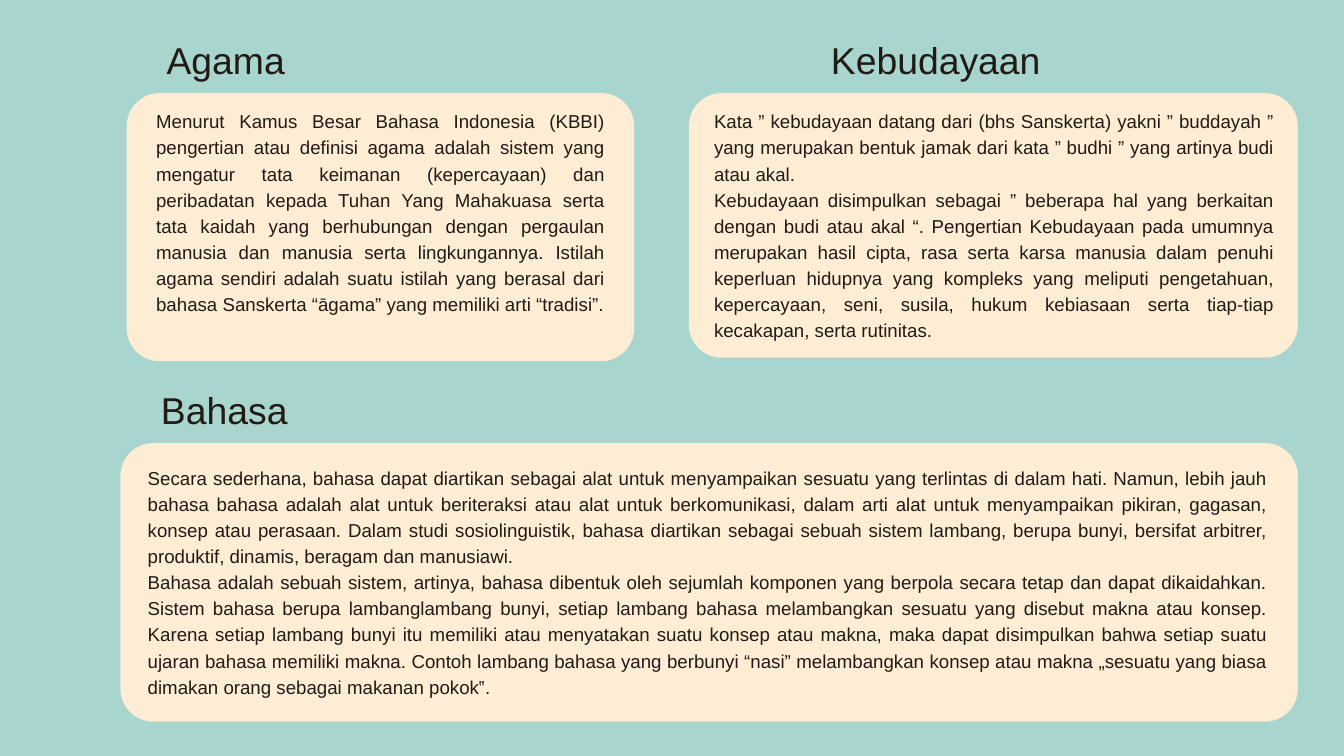
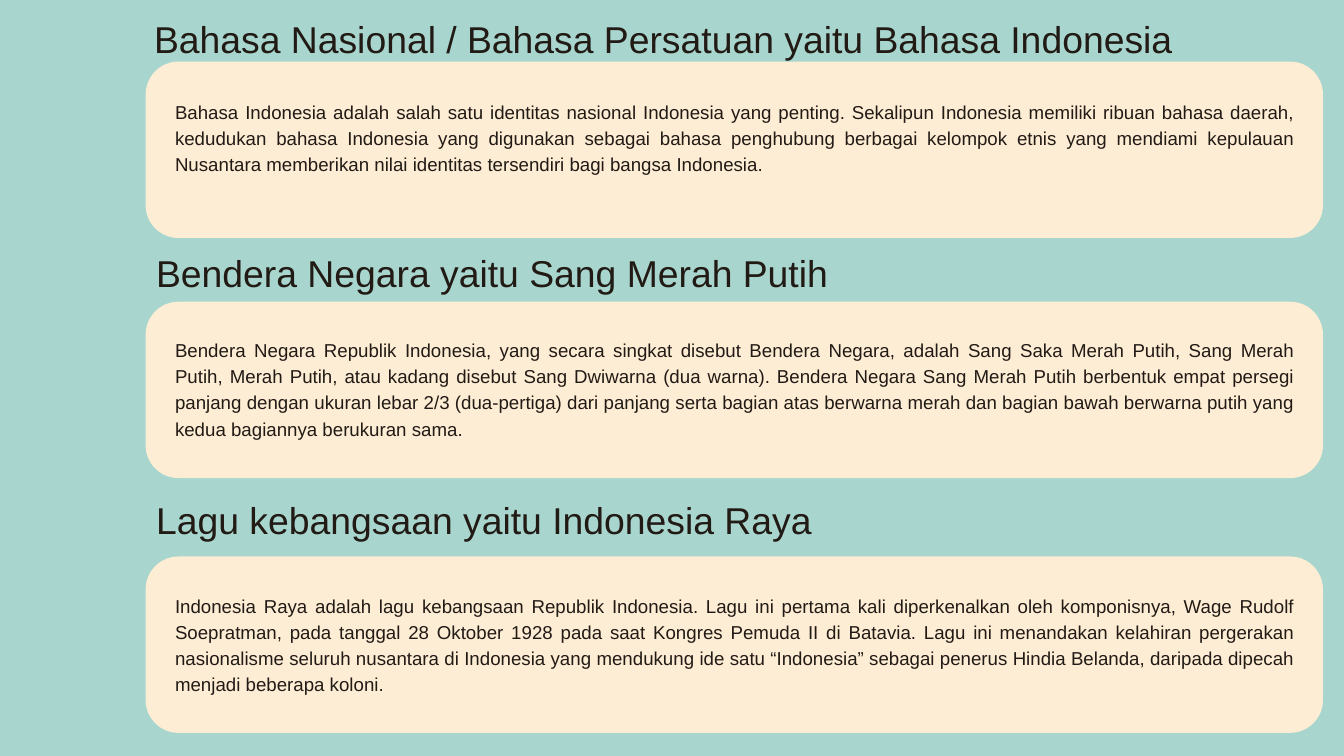
from dataclasses import dataclass
from typing import NamedTuple

import pptx
import pptx.dml.color
import pptx.enum.shapes
import pptx.enum.text
import pptx.oxml
import pptx.oxml.ns
import pptx.shapes.base
import pptx.slide
import pptx.util

EMU_PER_PX = 9525
SLIDE_WIDTH, SLIDE_HEIGHT = 1920, 1080
TITLE_AND_CONTENT = 1
JUSTIFY = pptx.enum.text.PP_ALIGN.JUSTIFY
LEFT = pptx.enum.text.PP_ALIGN.LEFT


# Theme and building blocks
@dataclass(frozen=True)
class TextStyle:
    size: int
    line_spacing: int
    alignment: pptx.enum.text.PP_ALIGN


@dataclass(frozen=True)
class Theme:
    background: str = "A8D6CE"
    panel: str = "FEEDD5"
    ink: str = "211A15"
    font: str = "Arial"
    corner_radius: int = 47
    heading: TextStyle = TextStyle(40, 56, LEFT)
    body: TextStyle = TextStyle(20, 28, JUSTIFY)


class Box(NamedTuple):
    left: int
    top: int
    width: int
    height: int


@dataclass(frozen=True)
class Section:
    heading: str
    heading_box: Box
    panel_box: Box
    body_box: Box
    paragraphs: tuple[str, ...]


THEME = Theme()
HEADING_HEIGHT = 77
WIDE_PANEL_WIDTH = 1682
WIDE_BODY_WIDTH = 1600


def px(length: int) -> pptx.util.Emu:
    return pptx.util.Emu(length * EMU_PER_PX)


def color(value: str) -> pptx.dml.color.RGBColor:
    return pptx.dml.color.RGBColor.from_string(value)


def place(shape: pptx.shapes.base.BaseShape, box: Box) -> None:
    shape.left, shape.top, shape.width, shape.height = map(px, box)


def add_panel(slide: pptx.slide.Slide, box: Box) -> None:
    """Draw a rounded panel behind everything else on the slide."""
    panel = slide.shapes.add_shape(
        pptx.enum.shapes.MSO_SHAPE.ROUNDED_RECTANGLE, *map(px, box))
    panel.adjustments[0] = THEME.corner_radius / min(box.width, box.height)
    panel.shadow.inherit = False
    panel.fill.solid()
    panel.fill.fore_color.rgb = color(THEME.panel)
    panel.line.fill.background()
    panel.element.getparent().insert(2, panel.element)


def remove_bullet(paragraph) -> None:
    properties = paragraph._p.get_or_add_pPr()
    properties.set("marL", "0")
    properties.set("indent", "0")
    properties.append(pptx.oxml.parse_xml(
        f"<a:buNone {pptx.oxml.ns.nsdecls('a')}/>"))


def write_text(shape: pptx.shapes.base.BaseShape, box: Box,
               paragraphs: tuple[str, ...], style: TextStyle) -> None:
    place(shape, box)
    frame = shape.text_frame
    frame.word_wrap = True
    frame.auto_size = pptx.enum.text.MSO_AUTO_SIZE.NONE
    frame.vertical_anchor = pptx.enum.text.MSO_ANCHOR.TOP
    frame.margin_left = frame.margin_right = 0
    frame.margin_top = frame.margin_bottom = 0
    for index, text in enumerate(paragraphs):
        paragraph = frame.add_paragraph() if index else frame.paragraphs[0]
        paragraph.alignment = style.alignment
        paragraph.line_spacing = pptx.util.Pt(style.line_spacing)
        paragraph.space_before = paragraph.space_after = pptx.util.Pt(0)
        remove_bullet(paragraph)
        run = paragraph.add_run()
        run.text = text
        run.font.name = THEME.font
        run.font.size = pptx.util.Pt(style.size)
        run.font.color.rgb = color(THEME.ink)


def add_section_slide(presentation, sections: tuple[Section, ...]) -> None:
    """The first section fills the placeholders, the others text boxes."""
    slide = presentation.slides.add_slide(
        presentation.slide_layouts[TITLE_AND_CONTENT])
    for index, section in enumerate(sections):
        add_panel(slide, section.panel_box)
        if index == 0:
            heading, body = slide.shapes.title, slide.placeholders[1]
        else:
            heading, body = (slide.shapes.add_textbox(*map(px, box))
                             for box in (section.heading_box, section.body_box))
        write_text(heading, section.heading_box, (section.heading,), THEME.heading)
        write_text(body, section.body_box, section.paragraphs, THEME.body)


def symbol_section(heading: str, heading_box: Box, panel_top: int,
                   body_top: int, body_height: int, text: str) -> Section:
    """A full-width section on the national symbols slide."""
    return Section(heading, heading_box,
                   Box(208, panel_top, WIDE_PANEL_WIDTH, 252),
                   Box(250, body_top, WIDE_BODY_WIDTH, body_height), (text,))


# Slide 1: religion, culture and language
CULTURE_SECTIONS = (
    Section(
        "Agama", Box(238, 42, 626, HEADING_HEIGHT),
        Box(181, 133, 725, 383), Box(223, 152, 641, 334),
        ("Menurut Kamus Besar Bahasa Indonesia (KBBI) pengertian atau definisi "
         "agama adalah sistem yang mengatur tata keimanan (kepercayaan) dan "
         "peribadatan kepada Tuhan Yang Mahakuasa serta tata kaidah yang "
         "berhubungan dengan pergaulan manusia dan manusia serta lingkungannya. "
         "Istilah agama sendiri adalah suatu istilah yang berasal dari bahasa "
         "Sanskerta “āgama” yang memiliki arti “tradisi”.",)),
    Section(
        "Kebudayaan", Box(1187, 42, 626, HEADING_HEIGHT),
        Box(984, 133, 870, 378), Box(1020, 152, 800, 334),
        ("Kata ” kebudayaan datang dari (bhs Sanskerta) yakni ” buddayah ” yang "
         "merupakan bentuk jamak dari kata ” budhi ” yang artinya budi atau akal.",
         "Kebudayaan disimpulkan sebagai ” beberapa hal yang berkaitan dengan "
         "budi atau akal “. Pengertian Kebudayaan pada umumnya merupakan hasil "
         "cipta, rasa serta karsa manusia dalam penuhi keperluan hidupnya yang "
         "kompleks yang meliputi pengetahuan, kepercayaan, seni, susila, hukum "
         "kebiasaan serta tiap-tiap kecakapan, serta rutinitas.")),
    Section(
        "Bahasa", Box(230, 543, 626, HEADING_HEIGHT),
        Box(172, 633, WIDE_PANEL_WIDTH, 398), Box(211, 661, WIDE_BODY_WIDTH, 334),
        ("Secara sederhana, bahasa dapat diartikan sebagai alat untuk "
         "menyampaikan sesuatu yang terlintas di dalam hati. Namun, lebih jauh "
         "bahasa bahasa adalah alat untuk beriteraksi atau alat untuk "
         "berkomunikasi, dalam arti alat untuk menyampaikan pikiran, gagasan, "
         "konsep atau perasaan. Dalam studi sosiolinguistik, bahasa diartikan "
         "sebagai sebuah sistem lambang, berupa bunyi, bersifat arbitrer, "
         "produktif, dinamis, beragam dan manusiawi.",
         "Bahasa adalah sebuah sistem, artinya, bahasa dibentuk oleh sejumlah "
         "komponen yang berpola secara tetap dan dapat dikaidahkan. Sistem "
         "bahasa berupa lambanglambang bunyi, setiap lambang bahasa "
         "melambangkan sesuatu yang disebut makna atau konsep. Karena setiap "
         "lambang bunyi itu memiliki atau menyatakan suatu konsep atau makna, "
         "maka dapat disimpulkan bahwa setiap suatu ujaran bahasa memiliki "
         "makna. Contoh lambang bahasa yang berbunyi “nasi” melambangkan konsep "
         "atau makna „sesuatu yang biasa dimakan orang sebagai makanan pokok‟.")),
)

# Slide 2: national symbols
SYMBOL_SECTIONS = (
    symbol_section(
        "Bahasa Nasional / Bahasa Persatuan yaitu Bahasa Indonesia",
        Box(220, 12, 1697, HEADING_HEIGHT), 88, 139, 111,
        "Bahasa Indonesia adalah salah satu identitas nasional Indonesia yang "
        "penting. Sekalipun Indonesia memiliki ribuan bahasa daerah, kedudukan "
        "bahasa Indonesia yang digunakan sebagai bahasa penghubung berbagai "
        "kelompok etnis yang mendiami kepulauan Nusantara memberikan nilai "
        "identitas tersendiri bagi bangsa Indonesia."),
    symbol_section(
        "Bendera Negara yaitu Sang Merah Putih",
        Box(223, 346, 1175, HEADING_HEIGHT), 431, 479, 149,
        "Bendera Negara Republik Indonesia, yang secara singkat disebut Bendera "
        "Negara, adalah Sang Saka Merah Putih, Sang Merah Putih, Merah Putih, "
        "atau kadang disebut Sang Dwiwarna (dua warna). Bendera Negara Sang "
        "Merah Putih berbentuk empat persegi panjang dengan ukuran lebar 2/3 "
        "(dua-pertiga) dari panjang serta bagian atas berwarna merah dan bagian "
        "bawah berwarna putih yang kedua bagiannya berukuran sama."),
    symbol_section(
        "Lagu kebangsaan yaitu Indonesia Raya",
        Box(223, 700, 1175, HEADING_HEIGHT), 795, 844, 149,
        "Indonesia Raya adalah lagu kebangsaan Republik Indonesia. Lagu ini "
        "pertama kali diperkenalkan oleh komponisnya, Wage Rudolf Soepratman, "
        "pada tanggal 28 Oktober 1928 pada saat Kongres Pemuda II di Batavia. "
        "Lagu ini menandakan kelahiran pergerakan nasionalisme seluruh nusantara "
        "di Indonesia yang mendukung ide satu “Indonesia” sebagai penerus Hindia "
        "Belanda, daripada dipecah menjadi beberapa koloni."),
)


def main() -> None:
    presentation = pptx.Presentation()
    presentation.slide_width = px(SLIDE_WIDTH)
    presentation.slide_height = px(SLIDE_HEIGHT)
    background = presentation.slide_master.background.fill
    background.solid()
    background.fore_color.rgb = color(THEME.background)
    for sections in (CULTURE_SECTIONS, SYMBOL_SECTIONS):
        add_section_slide(presentation, sections)
    presentation.save("out.pptx")


if __name__ == "__main__":
    main()
